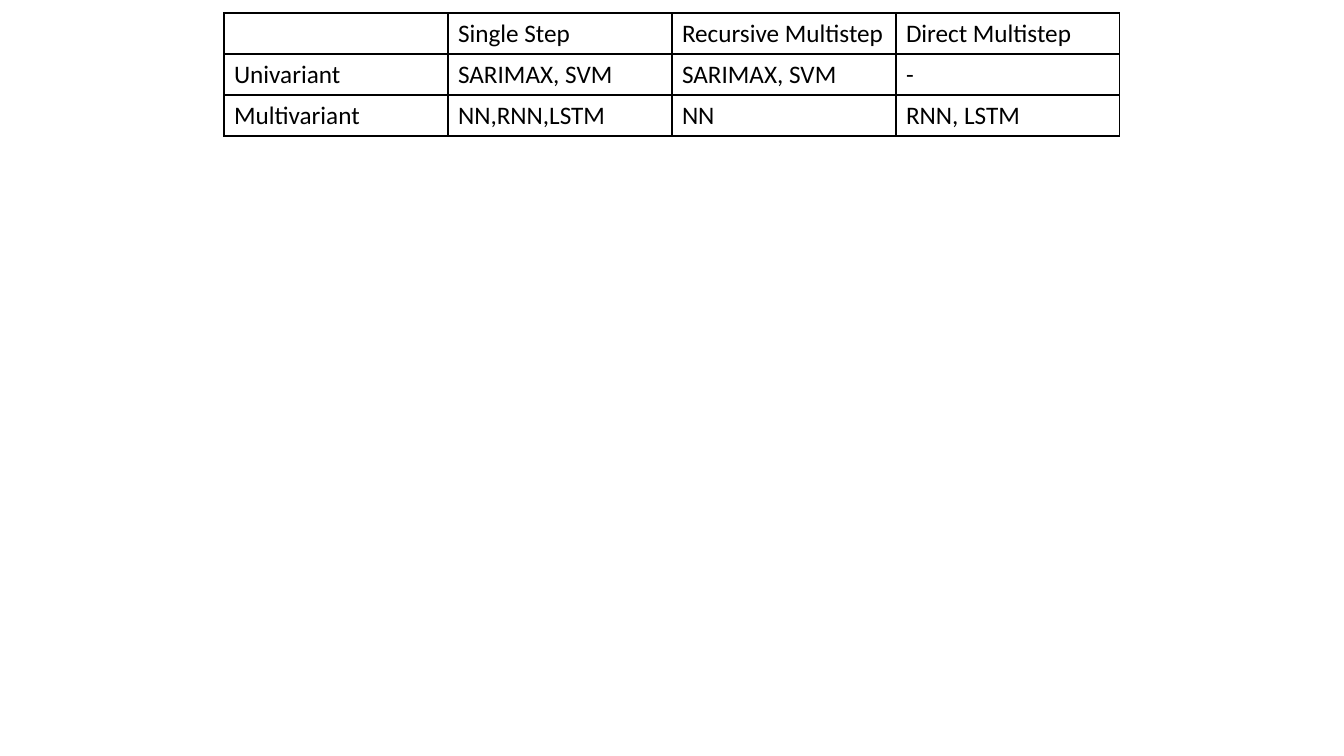
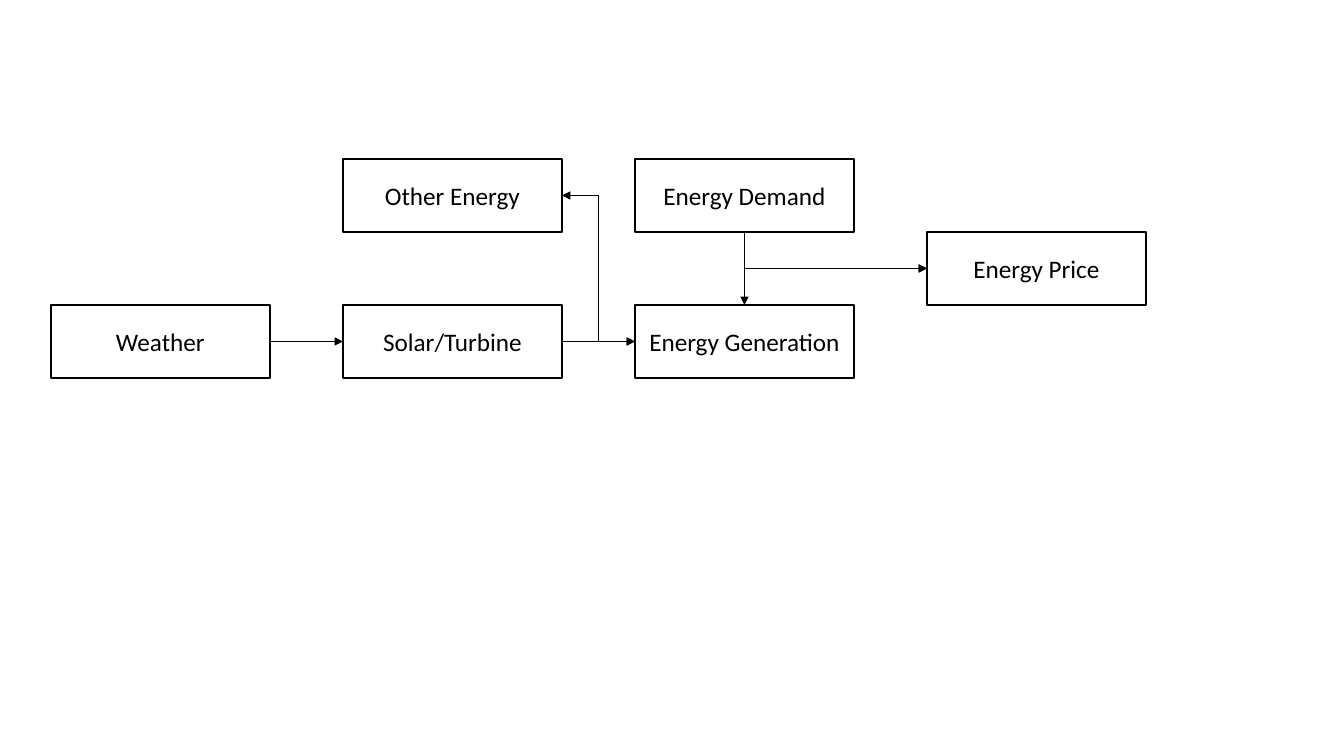
"""Build a table of forecast models and a flow chart of energy prices."""
from pptx import Presentation
from pptx.dml.color import RGBColor
from pptx.enum.shapes import MSO_CONNECTOR, MSO_SHAPE
from pptx.oxml.ns import qn
from pptx.oxml.xmlchemy import OxmlElement
from pptx.util import Emu, Pt

RECT = MSO_SHAPE.RECTANGLE
LINE = MSO_CONNECTOR.STRAIGHT
BENT = MSO_CONNECTOR.ELBOW
TOP, LEFT, BOTTOM, RIGHT = range(4)
INK, PAPER = "000000", "FFFFFF"
FONT, SIZE = "Calibri", 18

MODELS = [
    ("", "Single Step", "Recursive Multistep", "Direct Multistep"),
    ("Univariant", "SARIMAX, SVM", "SARIMAX, SVM", "-"),
    ("Multivariant", "NN,RNN,LSTM", "NN", "RNN, LSTM"),
]
TABLE_X, TABLE_Y, CELL_W, CELL_H = 224, 13, 224, 41

NODES = {
    "Weather": (0, 2),
    "Solar/Turbine": (1, 2),
    "Other Energy": (1, 0),
    "Energy Generation": (2, 2),
    "Energy Demand": (2, 0),
    "Energy Price": (3, 1),
}
FLOW_X, FLOW_Y, BOX_W, BOX_H = 51, 159, 219, 73
STEP_X, STEP_Y = BOX_W + BOX_H, BOX_H

LINKS = [
    ("Weather", RIGHT, "Solar/Turbine", LEFT, "line", "tail"),
    ("Solar/Turbine", RIGHT, "Energy Generation", LEFT, "line", "tail"),
    ("Other Energy", RIGHT, "Energy Generation", LEFT, "bentConnector3", "tail"),
    ("Energy Price", LEFT, "Energy Demand", BOTTOM, "bentConnector2", "head"),
    ("Energy Price", LEFT, "Energy Generation", TOP, "bentConnector2", "head"),
    ("Energy Generation", LEFT, "Other Energy", RIGHT, "bentConnector3", "tail"),
    ("Energy Demand", BOTTOM, "Energy Generation", TOP, "line", "tail"),
]


def px(count):
    return Emu(round(count * 914400 / 100.8))


def hue(code):
    return RGBColor.from_string(code)


def paint(part):
    part.fill.solid()
    part.fill.fore_color.rgb = hue(PAPER)


def write(frame, text):
    run = frame.paragraphs[0].add_run()
    run.text = text
    run.font.name = FONT
    run.font.size = Pt(SIZE)
    run.font.color.rgb = hue(INK)


def stroke(shape, width):
    shape.line.color.rgb = hue(INK)
    shape.line.width = Pt(width)


def frame_cell(cell):
    props = cell._tc.get_or_add_tcPr()
    for spot, side in enumerate(("lnL", "lnR", "lnT", "lnB")):
        edge = OxmlElement(f"a:{side}")
        edge.set("w", str(Pt(1)))
        fill = OxmlElement("a:solidFill")
        shade = OxmlElement("a:srgbClr")
        shade.set("val", INK)
        fill.append(shade)
        edge.append(fill)
        props.insert(spot, edge)


def add_models(slide):
    rows, cols = len(MODELS), len(MODELS[0])
    table = slide.shapes.add_table(
        rows, cols, px(TABLE_X), px(TABLE_Y), px(cols * CELL_W), px(rows * CELL_H)
    ).table
    table.first_row = table.horz_banding = False
    for r, texts in enumerate(MODELS):
        for c, text in enumerate(texts):
            cell = table.cell(r, c)
            paint(cell)
            frame_cell(cell)
            if text:
                write(cell.text_frame, text)


def add_node(slide, text, col, row):
    x, y = FLOW_X + col * STEP_X, FLOW_Y + row * STEP_Y
    box = slide.shapes.add_shape(RECT, px(x), px(y), px(BOX_W), px(BOX_H))
    box.shadow.inherit = False
    paint(box)
    stroke(box, 1)
    write(box.text_frame, text)
    return box


def add_link(slide, start, out, stop, into, form, end):
    kind = LINE if form == "line" else BENT
    link = slide.shapes.add_connector(kind, 0, 0, 0, 0)
    link.begin_connect(start, out)
    link.end_connect(stop, into)
    stroke(link, 0.5)
    props = link._element.spPr
    props.find(qn("a:prstGeom")).set("prst", form)
    tip = OxmlElement(f"a:{end}End")
    tip.set("type", "triangle")
    props.find(qn("a:ln")).append(tip)
    props.append(OxmlElement("a:effectLst"))


def add_flow(slide):
    boxes = {text: add_node(slide, text, *spot) for text, spot in NODES.items()}
    for start, out, stop, into, form, end in LINKS:
        add_link(slide, boxes[start], out, boxes[stop], into, form, end)


def main():
    deck = Presentation()
    deck.slide_width, deck.slide_height = px(1344), px(756)
    blank = deck.slide_layouts[6]
    for build in (add_models, add_flow):
        build(deck.slides.add_slide(blank))
    deck.save("out.pptx")


if __name__ == "__main__":
    main()
